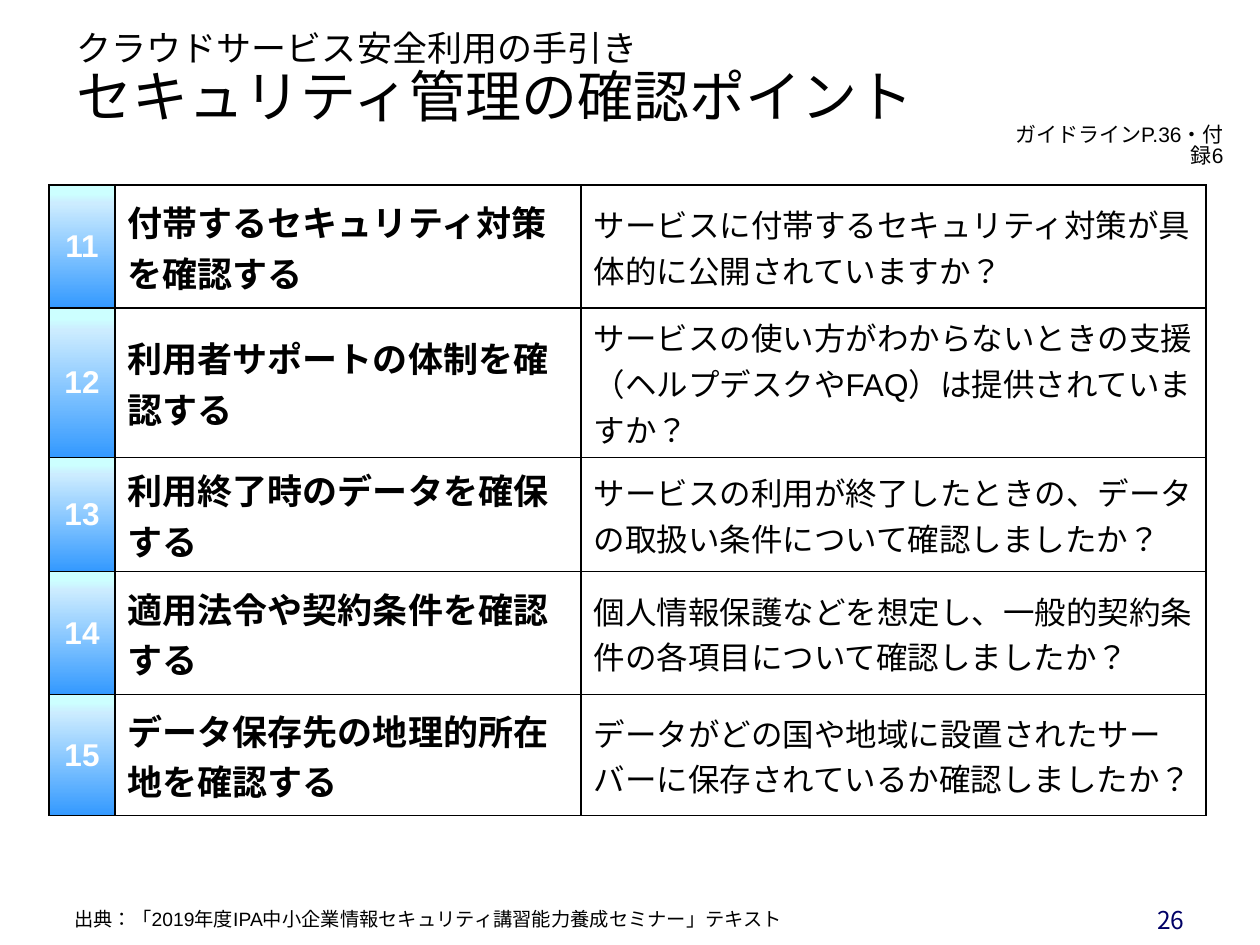
from lxml.etree import SubElement
from pptx import Presentation
from pptx.dml.color import RGBColor
from pptx.enum.text import MSO_ANCHOR, MSO_AUTO_SIZE, PP_ALIGN
from pptx.oxml.ns import qn
from pptx.util import Pt

SCALE = 914400 / 126
LATIN, CJK = "Arial", "Noto Sans CJK JP"
COLORS = {
    "text": "000000",
    "number": "FFFFFF",
    "page": "000066",
    "border": "000000",
    "deep": "3399FF",
    "pale": "CCECFF",
    "light": "CCFFFF",
}
GRADIENT = [(0, "deep"), (85, "pale"), (93, "light"), (100, "light")]
COLS = [66, 466, 625]
ROWS = [
    (123, "11", "付帯するセキュリティ対策を確認する",
     "サービスに付帯するセキュリティ対策が具体的に公開されていますか？"),
    (123, "12", "利用者サポートの体制を確認する",
     "サービスの使い方がわからないときの支援（ヘルプデスクやFAQ）は提供されていますか？"),
    (114, "13", "利用終了時のデータを確保する",
     "サービスの利用が終了したときの、データの取扱い条件について確認しましたか？"),
    (123, "14", "適用法令や契約条件を確認する",
     "個人情報保護などを想定し、一般的契約条件の各項目について確認しましたか？"),
    (121, "15", "データ保存先の地理的所在地を確認する",
     "データがどの国や地域に設置されたサーバーに保存されているか確認しましたか？"),
]


def px(n):
    return round(n * SCALE)


def add_text(p, text, size, font=LATIN, color="text", bold=False,
             align=PP_ALIGN.LEFT, spacing=None):
    p.alignment = align
    if spacing:
        p.line_spacing = spacing
    r = p.add_run()
    r.text = text
    r.font.size = Pt(size)
    r.font.name = font
    r.font.bold = bold
    r.font.color.rgb = RGBColor.from_string(COLORS[color])
    rPr = r.font._element
    rPr.set("lang", "ja-JP")
    SubElement(rPr, qn("a:ea")).set("typeface", CJK)


def add_label(s, box, text, size, anchor=MSO_ANCHOR.MIDDLE, **fmt):
    tf = s.shapes.add_textbox(*map(px, box)).text_frame
    tf.word_wrap = True
    tf.vertical_anchor = anchor
    add_text(tf.paragraphs[0], text, size, **fmt)


def add_title(s, box):
    sp = s.shapes.title
    sp.left, sp.top, sp.width, sp.height = map(px, box)
    tf = sp.text_frame
    tf.auto_size = MSO_AUTO_SIZE.NONE
    tf.vertical_anchor = MSO_ANCHOR.MIDDLE
    p = tf.paragraphs[0]
    add_text(p, "クラウドサービス安全利用の手引き", 20, font=CJK, spacing=0.9)
    p.add_line_break()
    add_text(p, "セキュリティ管理の確認ポイント", 32, font=CJK)


def add_solid(parent, color):
    fill = SubElement(parent, qn("a:solidFill"))
    SubElement(fill, qn("a:srgbClr")).set("val", COLORS[color])


def set_borders(cell):
    tcPr = cell._tc.get_or_add_tcPr()
    for side in ("L", "R", "T", "B"):
        ln = SubElement(tcPr, qn(f"a:ln{side}"))
        ln.set("w", str(Pt(1)))
        add_solid(ln, "border")


def set_gradient(cell):
    grad = SubElement(cell._tc.get_or_add_tcPr(), qn("a:gradFill"))
    stops = SubElement(grad, qn("a:gsLst"))
    for pos, color in GRADIENT:
        gs = SubElement(stops, qn("a:gs"))
        gs.set("pos", str(pos * 1000))
        SubElement(gs, qn("a:srgbClr")).set("val", COLORS[color])
    SubElement(grad, qn("a:lin")).set("ang", str(270 * 60000))


def add_checklist(s, left, top):
    formats = [
        dict(size=18, color="number", bold=True, align=PP_ALIGN.CENTER),
        dict(size=20, bold=True),
        dict(size=18),
    ]
    height = sum(row[0] for row in ROWS)
    box = map(px, (left, top, sum(COLS), height))
    table = s.shapes.add_table(len(ROWS), len(COLS), *box).table
    table.first_row = table.horz_banding = False
    for col, width in zip(table.columns, COLS):
        col.width = px(width)
    for row, (height, *texts) in zip(table.rows, ROWS):
        row.height = px(height)
        for i, (cell, text, fmt) in enumerate(zip(row.cells, texts, formats)):
            cell.vertical_anchor = MSO_ANCHOR.MIDDLE
            add_text(cell.text_frame.paragraphs[0], text, **fmt)
            set_borders(cell)
            if i == 0:
                set_gradient(cell)
            else:
                cell.fill.background()


def add_footer(s, top):
    add_label(s, (62, top, 804, 37),
              "出典：「2019年度IPA中小企業情報セキュリティ講習能力養成セミナー」テキスト", 11)
    add_label(s, (903, top, 294, 39), "26", 14, font=CJK, color="page",
              align=PP_ALIGN.RIGHT)


def main():
    prs = Presentation()
    prs.slide_width, prs.slide_height = px(1260), px(945)
    s = prs.slides.add_slide(prs.slide_layouts[5])
    add_title(s, (64, 6, 963, 149))
    add_checklist(s, 49, 185)
    add_label(s, (1000, 120, 236, 38), "ガイドラインP.36・付録6", 12,
              anchor=MSO_ANCHOR.TOP, align=PP_ALIGN.RIGHT, spacing=0.82)
    add_footer(s, 900)
    prs.save("out.pptx")


if __name__ == "__main__":
    main()
